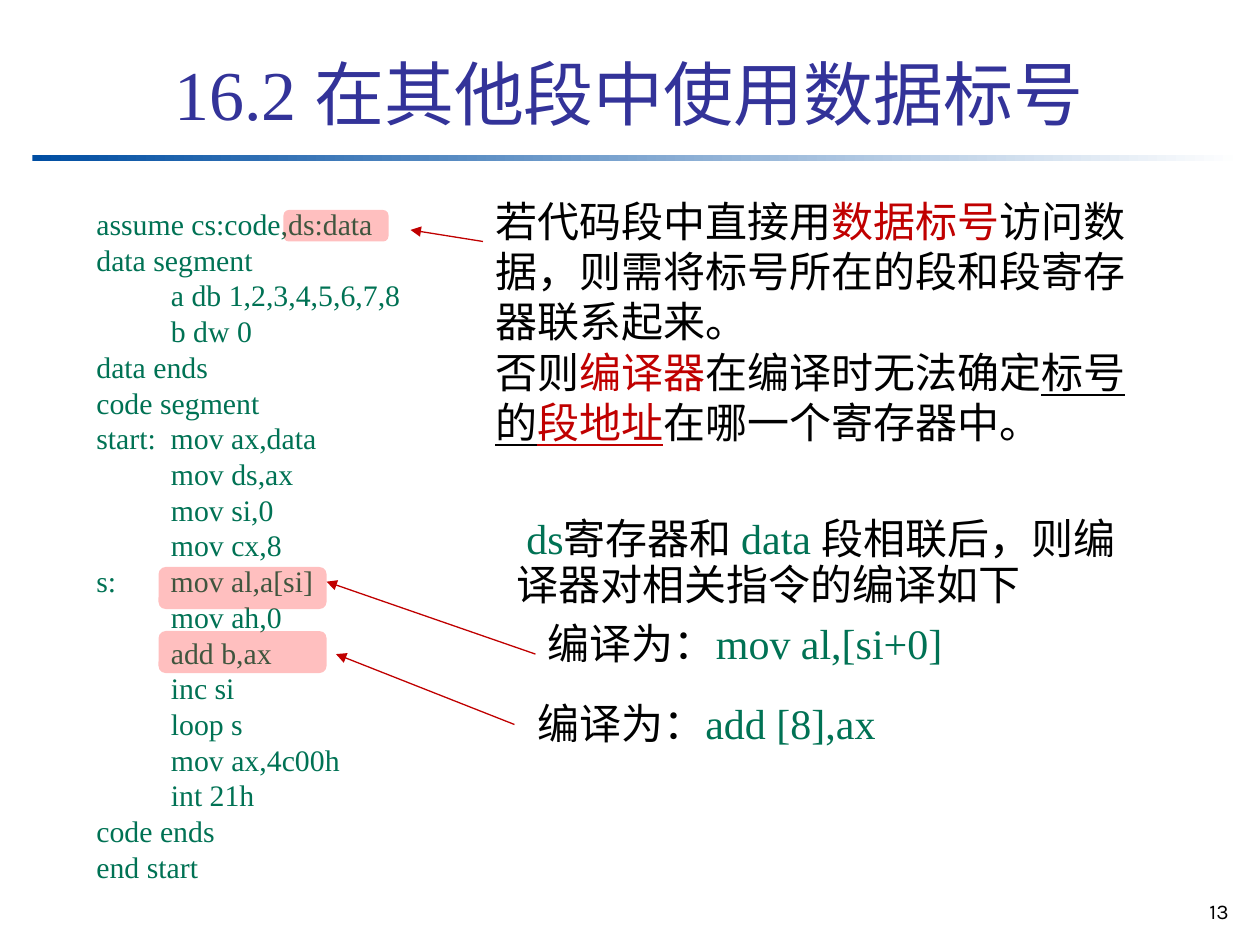
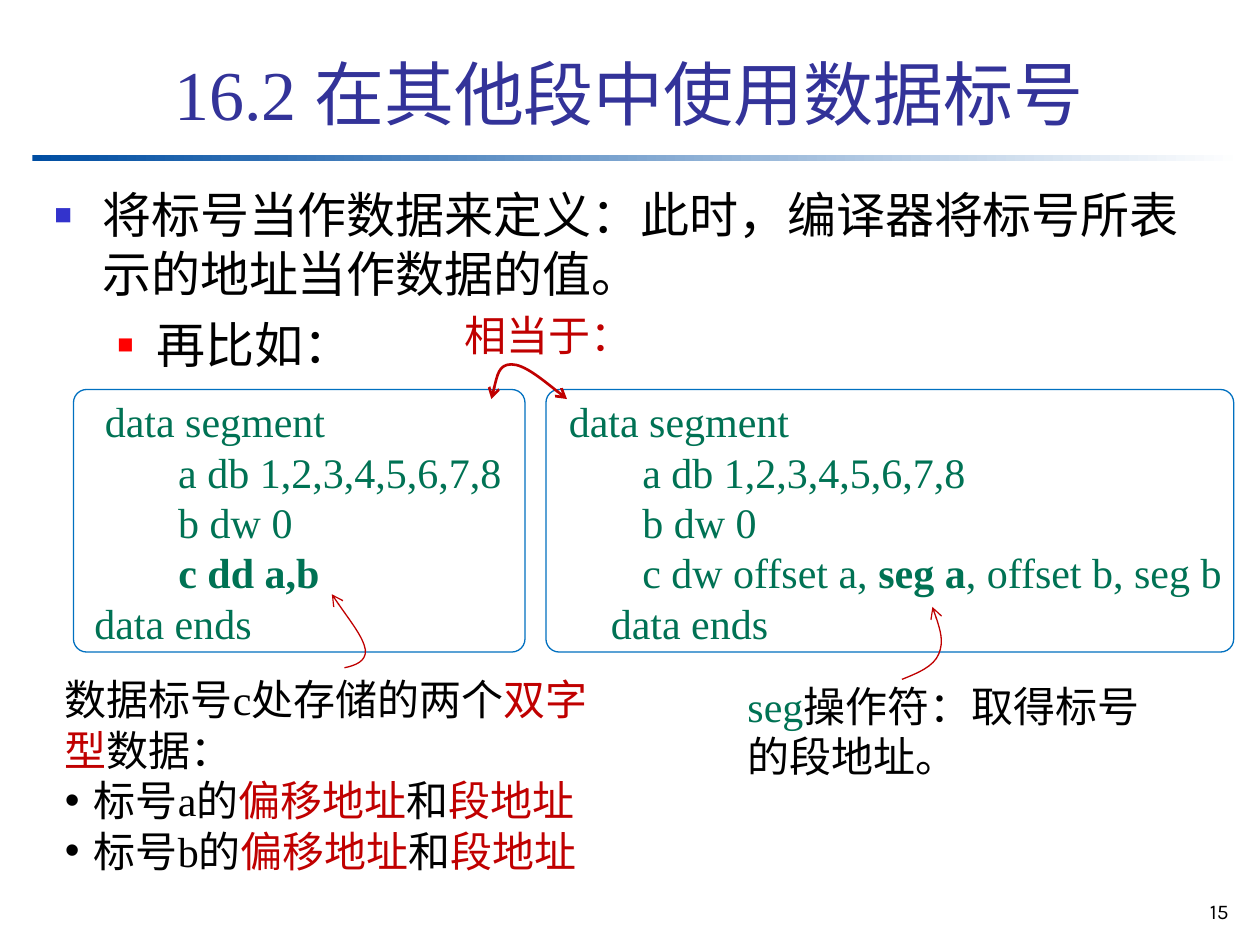
from dataclasses import dataclass

from lxml import etree
from pptx import Presentation
from pptx import util as u
from pptx.dml.color import RGBColor
from pptx.enum import shapes, text
from pptx.oxml.ns import qn

COLUMNS, ROWS = 120, 90
SLIDE_WIDTH, SLIDE_HEIGHT = u.Inches(10), u.Inches(7.5)


@dataclass(frozen=True)
class Theme:
    title: str = "333399"
    band: str = "004EA2"
    paper: str = "FFFFFF"
    ink: str = "000000"
    code: str = "007254"
    accent: str = "C00000"
    frame: str = "0070C0"
    marker: str = "FF0000"
    bullet: str = "3333CC"
    font: str = "Times New Roman"
    number_font: str = "Karla"
    title_size: float = 40
    body_size: float = 28
    note_size: float = 24
    listing_size: float = 17
    number_size: float = 12


@dataclass(frozen=True)
class Look:
    color: str
    bold: bool = False
    underline: bool = False


@dataclass(frozen=True)
class Box:
    """An area in grid columns and rows."""
    col: float
    row: float
    cols: float
    rows: float

    def within(self, col, row, cols, rows):
        return Box(self.col + col, self.row + row, cols, rows)

    def point(self, col, row):
        return across(self.col + col), down(self.row + row)

    def emu(self):
        return across(self.col), down(self.row), across(self.cols), down(self.rows)


THEME = Theme()
PLAIN, CODE, KEY = Look(THEME.ink), Look(THEME.code), Look(THEME.accent)
BOLD_CODE = Look(THEME.code, bold=True)
LINED, LINED_KEY = Look(THEME.ink, underline=True), Look(THEME.accent, underline=True)

TITLE = "16.2 在其他段中使用数据标号"
PROGRAM = """assume cs:code,ds:data
data segment
          a db 1,2,3,4,5,6,7,8
          b dw 0
data ends
code segment
start:\tmov ax,data
          mov ds,ax
          mov si,0
          mov cx,8
s:\tmov al,a[si]
          mov ah,0
          add b,ax
          inc si
          loop s
          mov ax,4c00h
          int 21h
code ends
end start"""
SEGMENT_HEAD = [[(line, CODE)] for line in (
    " data segment", "        a db 1,2,3,4,5,6,7,8", "        b dw 0")]


def across(columns):
    return round(SLIDE_WIDTH * columns / COLUMNS)


def down(rows):
    return round(SLIDE_HEIGHT * rows / ROWS)


def rgb(color):
    return RGBColor.from_string(color)


def style_span(span, look, size, font=THEME.font):
    span.font.name, span.font.size = font, u.Pt(size)
    span.font.bold, span.font.underline = look.bold, look.underline
    span.font.color.rgb = rgb(look.color)


def add_text(page, box, paras, size=THEME.note_size, spacing=None, wrap=True):
    """Write paragraphs, each a list of (words, look) pairs, into a text box."""
    frame = page.shapes.add_textbox(*box.emu()).text_frame
    frame.word_wrap = wrap
    for index, pieces in enumerate(paras):
        para = frame.add_paragraph() if index else frame.paragraphs[0]
        if spacing:
            para.line_spacing = spacing
        for words, look in pieces:
            span = para.add_run()
            span.text = words
            style_span(span, look, size)
    return frame


def indent(para, margin, first):
    props = para._p.get_or_add_pPr()
    props.set("marL", str(u.Inches(margin)))
    props.set("indent", str(u.Inches(first)))
    return props


def add_bullet(para, mark, color, margin, hang, percent=100):
    props = indent(para, margin, -hang)
    tint = etree.SubElement(props, qn("a:buClr"))
    etree.SubElement(tint, qn("a:srgbClr"), val=color)
    etree.SubElement(props, qn("a:buSzPct"), val=str(percent * 1000))
    etree.SubElement(props, qn("a:buFont"), typeface="Arial")
    etree.SubElement(props, qn("a:buChar"), char=mark)


def style_line(shape, width, head=None, tail=None):
    shape.line.color.rgb = rgb(THEME.accent)
    shape.line.width = u.Pt(width)
    outline = shape._element.spPr.find(qn("a:ln"))
    for end, kind in (("a:headEnd", head), ("a:tailEnd", tail)):
        if kind:
            etree.SubElement(outline, qn(end), type=kind)


def add_arrow(page, start, end):
    arrow = page.shapes.add_connector(shapes.MSO_CONNECTOR.STRAIGHT, *start, *end)
    style_line(arrow, 0.75, tail="triangle")
    etree.SubElement(arrow._element.spPr, qn("a:effectLst"))


def add_curve(page, box, points, width=0.75, head=None):
    """Draw Bezier curves: a start, then two handles and an end for each."""
    start, *rest = [box.point(*point) for point in points]
    builder = page.shapes.build_freeform(*start)
    builder.add_line_segments(rest, close=False)
    curve = builder.convert_to_shape()
    curve.shadow.inherit = False
    curve.fill.background()
    style_line(curve, width, head, "arrow")
    steps = list(curve._element.iter(qn("a:lnTo")))
    outline = steps[0].getparent()
    for first in range(0, len(steps), 3):
        bend = etree.SubElement(outline, qn("a:cubicBezTo"))
        for step in steps[first:first + 3]:
            bend.append(step[0])
            outline.remove(step)


def add_panel(page, box, kind, rounding=None):
    panel = page.shapes.add_shape(kind, *box.emu())
    panel.shadow.inherit = False
    if rounding is not None:
        panel.adjustments[0] = rounding
    return panel


def add_highlight(page, box):
    panel = add_panel(page, box, shapes.MSO_SHAPE.ROUNDED_RECTANGLE, 0.17)
    panel.line.fill.background()
    panel.fill.solid()
    panel.fill.fore_color.rgb = rgb(THEME.marker)
    tint = panel._element.spPr.find(qn("a:solidFill"))[0]
    etree.SubElement(tint, qn("a:alpha"), val="25000")


def add_page(deck, number):
    """Start a slide with the shared band, page number and title."""
    page = deck.slides.add_slide(deck.slide_layouts[5])
    band = add_panel(page, Box(3.1, 14.75, 115.2, 0.6), shapes.MSO_SHAPE.RECTANGLE)
    band.line.fill.background()
    band.fill.gradient()
    band.fill.gradient_angle = 0
    for stop, color, position in zip(band.fill.gradient_stops, (THEME.band, THEME.paper), (0, 1)):
        stop.color.rgb, stop.position = rgb(color), position

    footer = add_text(page, Box(110.2, 85, 8, 4), [[(str(number), PLAIN)]])
    para = footer.paragraphs[0]
    para.alignment = text.PP_ALIGN.RIGHT
    style_span(para.runs[0], PLAIN, THEME.number_size, THEME.number_font)

    title = page.shapes.title
    title.left, title.top, title.width, title.height = Box(15.4, 2.1, 102.2, 11.3).emu()
    frame = title.text_frame
    frame.text = TITLE
    frame.auto_size = text.MSO_AUTO_SIZE.NONE
    frame.vertical_anchor = text.MSO_ANCHOR.BOTTOM
    frame.paragraphs[0].alignment = text.PP_ALIGN.LEFT
    style_span(frame.paragraphs[0].runs[0], Look(THEME.title), THEME.title_size)
    return page


def program_listing(page, box):
    lines = [[(line, CODE)] for line in PROGRAM.split("\n")]
    frame = add_text(page, box, lines, THEME.listing_size)
    for para in frame.paragraphs:
        if "\t" in para.text:
            stops = etree.SubElement(para._p.get_or_add_pPr(), qn("a:tabLst"))
            etree.SubElement(stops, qn("a:tab"), pos=str(u.Inches(0.59)), algn="l")
    add_highlight(page, box.within(19, 1, 10, 3))
    for row in (35, 41.1):
        add_highlight(page, box.within(7.1, row, 16, 4))


def segment_notes(page, box):
    add_text(page, box.within(0, 0, 64, 25.2), [
        [("若代码段中直接用", PLAIN), ("数据标号", KEY),
         ("访问数据，则需将标号所在的段和段寄存器联系起来。", PLAIN)],
        [("否则", PLAIN), ("编译器", KEY), ("在编译时无法确定", PLAIN), ("标号的", LINED),
         ("段地址", LINED_KEY), ("在哪一个寄存器中。", PLAIN)]])
    linked = add_text(page, box.within(2, 30.8, 60, 9.9), [
        [("ds", CODE), ("寄存器和 ", PLAIN), ("data ", CODE),
         ("段相联后，则编译器对相关指令的编译如下", PLAIN)]], spacing=0.9)
    indent(linked.paragraphs[0], 0, 0.08)
    for col, row, code in ((5, 40.8, "mov al,[si+0]"), (4, 48.4, "add [8],ax")):
        add_text(page, box.within(col, row, 60, 5.5),
                 [[("编译为：", PLAIN), (code, CODE)]], spacing=0.9)
    for start, end in (((0, 5), (-6.9, 3.9)), ((5, 44.3), (-14.9, 37.4)), ((3, 51), (-14, 44.3))):
        add_arrow(page, box.point(*start), box.point(*end))


def definition_bullets(page, box):
    frame = add_text(page, box, [
        [("将标号当作数据来定义：此时，编译器将标号所表示的地址当作数据的值。", PLAIN)],
        [("再比如：", PLAIN)]], THEME.body_size)
    main_point, example = frame.paragraphs
    add_bullet(main_point, "■", THEME.bullet, 0.38, 0.38, 60)
    add_bullet(example, "■", THEME.marker, 0.81, 0.31, 55)
    example.space_before = u.Pt(7)


def equal_segments(page, box):
    short = SEGMENT_HEAD + [[("        ", CODE), ("c dd a,b", BOLD_CODE)], [("data ends", CODE)]]
    full = SEGMENT_HEAD + [
        [("        c dw offset a, ", CODE), ("seg a", BOLD_CODE), (", offset b, seg b", CODE)],
        [("     data ends", CODE)]]
    for col, cols, shift, lines in ((0, 43, 0.8, short), (45, 65.5, 0, full)):
        add_text(page, box.within(col + shift, 0, cols + 1, box.rows), lines)
        panel = add_panel(page, box.within(col, 0, cols, 25),
                          shapes.MSO_SHAPE.ROUNDED_RECTANGLE, 0.05)
        panel.fill.background()
        panel.line.color.rgb = rgb(THEME.frame)
        panel.line.width = u.Pt(0.75)
    add_text(page, box.within(36.1, -8.2, 18.4, 6), [[("相当于：", KEY)]], wrap=False)
    add_curve(page, box, [(39.8, 0.9), (40.2, -0.7), (40.5, -2.4), (41.7, -2.4),
                          (42.9, -2.4), (45, -0.7), (47, 0.9)], 1.5, "arrow")


def stored_data_note(page, box):
    items = [[(f"标号{label}的", PLAIN), ("偏移地址", KEY), ("和", PLAIN), ("段地址", KEY)]
             for label in "ab"]
    frame = add_text(page, box, [
        [("数据标号c处存储的两个", PLAIN), ("双字型", KEY), ("数据：", PLAIN)], *items])
    for para in frame.paragraphs[1:]:
        add_bullet(para, "•", THEME.ink, 0.23, 0.23)
    add_curve(page, box, [(27.8, 0), (28.8, -0.2), (29.9, -0.6), (29.8, -1.7),
                          (29.6, -2.9), (28, -4.9), (26.6, -7)])


def operator_note(page, box):
    add_text(page, box, [[("seg", CODE), ("操作符：取得标号的段地址。", PLAIN)]])
    add_curve(page, box, [(15.9, 0.5), (17.4, -0.1), (18.9, -0.7), (19.4, -1.9),
                          (19.9, -3.1), (19.4, -4.8), (18.8, -6.4)])


def main():
    deck = Presentation()
    deck.slide_width, deck.slide_height = SLIDE_WIDTH, SLIDE_HEIGHT

    page = add_page(deck, 13)
    program_listing(page, Box(8, 19, 51, 65.9))
    segment_notes(page, Box(46, 18, 64, 55))

    page = add_page(deck, 15)
    definition_bullets(page, Box(4, 17, 113.5, 68))
    equal_segments(page, Box(7, 37.1, 110.5, 25.2))
    stored_data_note(page, Box(5, 63.6, 53, 20.4))
    operator_note(page, Box(70, 64.2, 40.5, 10.8))

    deck.save("out.pptx")


if __name__ == "__main__":
    main()
